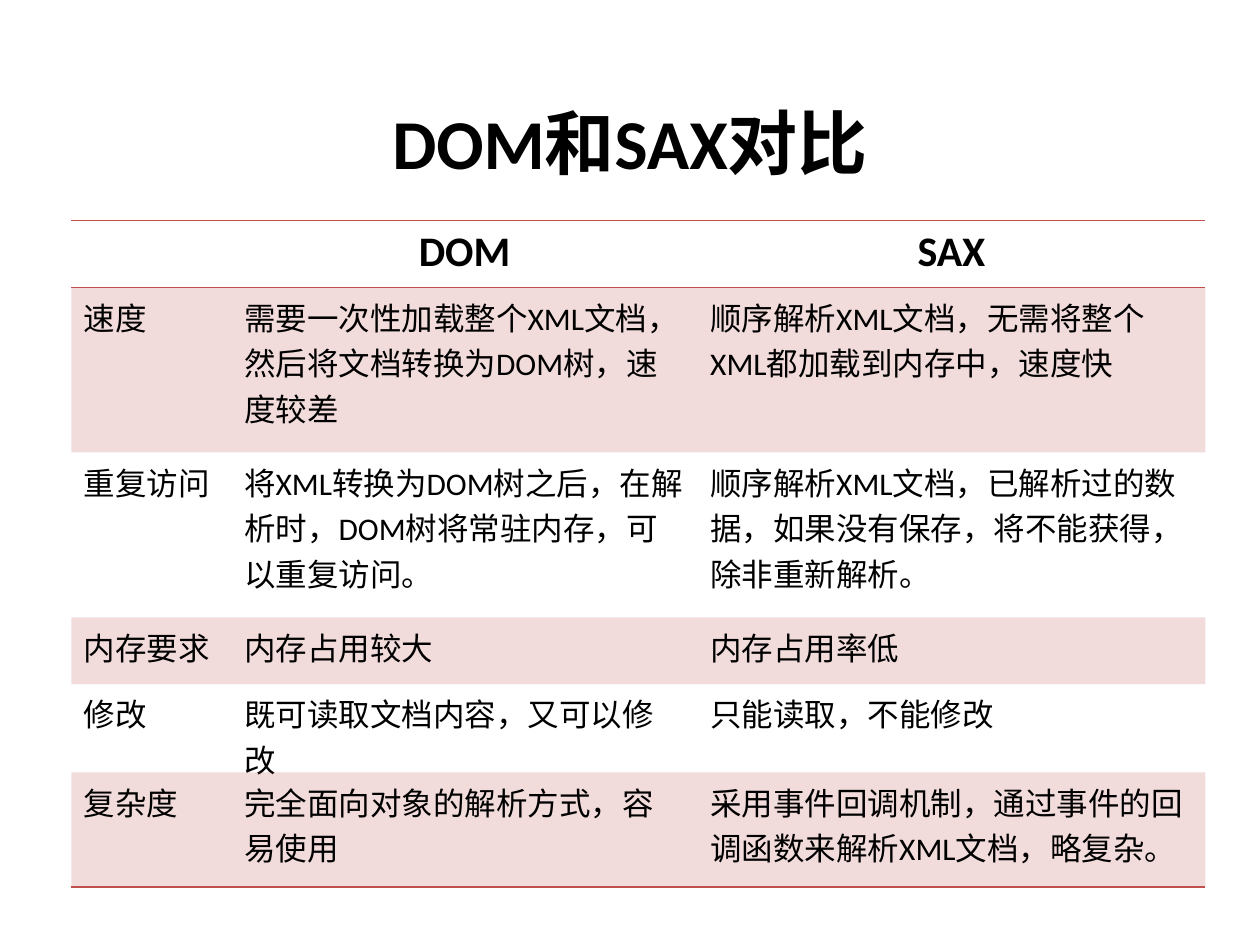
from dataclasses import dataclass

from lxml.etree import SubElement
from pptx import Presentation
from pptx.dml.color import RGBColor
from pptx.enum.lang import MSO_LANGUAGE_ID
from pptx.enum.text import MSO_ANCHOR, PP_ALIGN
from pptx.oxml import parse_xml
from pptx.oxml.ns import nsdecls, qn
from pptx.slide import Slide
from pptx.table import _Cell
from pptx.text.text import _Paragraph
from pptx.util import Pt

FONT = "Calibri"
BLACK = RGBColor(0x00, 0x00, 0x00)
WHITE = RGBColor(0xFF, 0xFF, 0xFF)
RED = RGBColor(0xC0, 0x50, 0x4D)
BAND_OPACITY = 20
NO_STYLE = "{2D5ABB26-0587-4C30-8999-92F81FD0307C}"
COLUMN_WIDTHS = (91.5, 266.4, 290.1)


@dataclass(frozen=True)
class TableRow:
    height: float
    texts: tuple[str, str, str]


ROWS = (
    TableRow(38.2, ("", "DOM", "SAX")),
    TableRow(94.3, ("速度",
                    "需要一次性加载整个XML文档，然后将文档转换为DOM树，速度较差",
                    "顺序解析XML文档，无需将整个XML都加载到内存中，速度快")),
    TableRow(94.3, ("重复访问",
                    "将XML转换为DOM树之后，在解析时，DOM树将常驻内存，可以重复访问。",
                    "顺序解析XML文档，已解析过的数据，如果没有保存，将不能获得，除非重新解析。")),
    TableRow(38.2, ("内存要求", "内存占用较大", "内存占用率低")),
    TableRow(38.2, ("修改", "既可读取文档内容，又可以修改", "只能读取，不能修改")),
    TableRow(65.5, ("复杂度",
                    "完全面向对象的解析方式，容易使用",
                    "采用事件回调机制，通过事件的回调函数来解析XML文档，略复杂。")),
)


def add_text(paragraph: _Paragraph, text: str, size: float, heading: bool) -> None:
    paragraph.alignment = PP_ALIGN.CENTER if heading else PP_ALIGN.LEFT
    run = paragraph.add_run()
    run.text = text
    run.font.name = FONT
    run.font.size = Pt(size)
    run.font.bold = heading
    run.font.color.rgb = BLACK
    run.font.language_id = MSO_LANGUAGE_ID.SIMPLIFIED_CHINESE


def fill_band(cell: _Cell) -> None:
    cell.fill.solid()
    cell.fill.fore_color.rgb = RED
    color = cell._tc.tcPr.find(qn("a:solidFill")).find(qn("a:srgbClr"))
    SubElement(color, qn("a:alpha")).set("val", str(BAND_OPACITY * 1000))


def add_borders(cell: _Cell, sides: tuple[str, ...]) -> None:
    properties = cell._tc.get_or_add_tcPr()
    for position, side in enumerate(sides):  # borders come before the fill
        properties.insert(position, parse_xml(
            f'<a:ln{side} {nsdecls("a")} w="{Pt(1)}"><a:solidFill>'
            f'<a:srgbClr val="{RED}"/></a:solidFill></a:ln{side}>'))


def add_title(slide: Slide, text: str) -> None:
    shape = slide.shapes.add_textbox(Pt(36), Pt(36), Pt(648), Pt(90))
    frame = shape.text_frame
    frame.word_wrap = True
    frame.vertical_anchor = MSO_ANCHOR.MIDDLE
    add_text(frame.paragraphs[0], text, 40, heading=True)


def add_comparison(slide: Slide, rows: tuple[TableRow, ...]) -> None:
    shape = slide.shapes.add_table(
        len(rows), len(COLUMN_WIDTHS), Pt(40.8), Pt(126),
        Pt(sum(COLUMN_WIDTHS)), Pt(sum(row.height for row in rows)))
    table = shape.table
    table._tbl.tblPr.find(qn("a:tableStyleId")).text = NO_STYLE
    table.first_row = table.horz_banding = False
    for column, width in zip(table.columns, COLUMN_WIDTHS):
        column.width = Pt(width)

    for row_index, row in enumerate(rows):
        table.rows[row_index].height = Pt(row.height)
        heading = row_index == 0
        for column_index, text in enumerate(row.texts):
            cell = table.cell(row_index, column_index)
            if text:
                add_text(cell.text_frame.paragraphs[0], text,
                         24 if heading else 18, heading)
            if row_index % 2:
                fill_band(cell)
            else:
                cell.fill.background()
            if heading:
                add_borders(cell, ("T", "B"))
            elif row_index == len(rows) - 1:
                add_borders(cell, ("B",))


def main() -> None:
    presentation = Presentation()
    presentation.slide_width, presentation.slide_height = Pt(720), Pt(540)
    slide = presentation.slides.add_slide(presentation.slide_layouts[6])
    slide.background.fill.solid()
    slide.background.fill.fore_color.rgb = WHITE

    # Heading, then the comparison table
    add_title(slide, "DOM和SAX对比")
    add_comparison(slide, ROWS)
    presentation.save("out.pptx")


if __name__ == "__main__":
    main()
